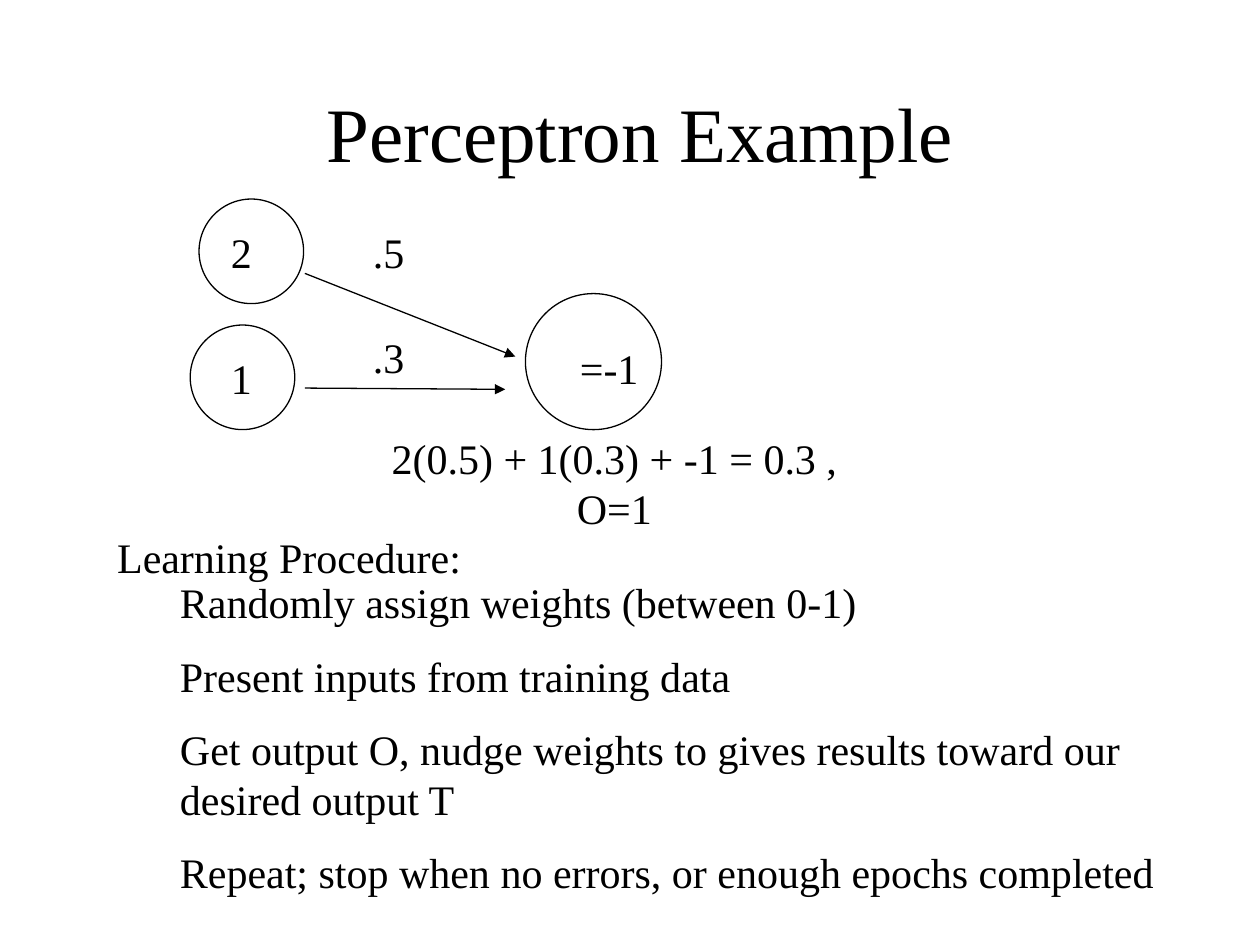
from dataclasses import dataclass

from lxml import etree
from pptx import Presentation
from pptx.dml.color import RGBColor
from pptx.enum.shapes import MSO_CONNECTOR, MSO_SHAPE
from pptx.enum.text import MSO_ANCHOR, PP_ALIGN
from pptx.oxml.ns import qn
from pptx.util import Inches, Pt

LEFT, CENTER = PP_ALIGN.LEFT, PP_ALIGN.CENTER
MIDDLE = MSO_ANCHOR.MIDDLE
OVAL = MSO_SHAPE.OVAL
STRAIGHT = MSO_CONNECTOR.STRAIGHT


@dataclass(frozen=True)
class Theme:
    font: str = "Times New Roman"
    ink: RGBColor = RGBColor(0, 0, 0)
    paper: RGBColor = RGBColor(255, 255, 255)
    head: int = 44
    body: int = 24
    gap: int = 13
    line: float = 0.75


THEME = Theme()


def place(shape, box):
    shape.left, shape.top, shape.width, shape.height = map(Inches, box)


def write(frame, *lines, size=THEME.body, align=CENTER, wrap=False):
    frame.word_wrap = wrap
    frame.vertical_anchor = MIDDLE
    for i, line in enumerate(lines):
        para = frame.paragraphs[0] if i == 0 else frame.add_paragraph()
        para.alignment = align
        para.space_before = Pt(THEME.gap if i else 0)
        run = para.add_run()
        run.text = line
        run.font.name = THEME.font
        run.font.size = Pt(size)
        run.font.color.rgb = THEME.ink


def label(slide, box, *lines, **style):
    text = slide.shapes.add_textbox(*map(Inches, box))
    write(text.text_frame, *lines, **style)


def node(slide, x, y, size):
    shape = slide.shapes.add_shape(OVAL, *map(Inches, (x, y, size, size)))
    shape.shadow.inherit = False
    shape.fill.solid()
    shape.fill.fore_color.rgb = THEME.paper
    shape.line.color.rgb = THEME.ink
    shape.line.width = Pt(THEME.line)


def arrow(slide, *ends):
    link = slide.shapes.add_connector(STRAIGHT, *map(Inches, ends))
    link.line.color.rgb = THEME.ink
    link.line.width = Pt(THEME.line)
    tail = etree.SubElement(link.line._get_or_add_ln(), qn("a:tailEnd"))
    tail.set("type", "triangle")
    etree.SubElement(link._element.spPr, qn("a:effectLst"))


def title(slide, box):
    shape = slide.shapes.title
    place(shape, box)
    write(shape.text_frame, "Perceptron Example", size=THEME.head, wrap=True)


def network(slide, box):
    x, y = box[:2]
    for dx, dy, value in ((0.07, 0, "2"), (0, 1, "1")):
        node(slide, x + dx, y + dy, 0.83)
        label(slide, (x + 0.22, y + dy + 0.17, 0.37, 0.5), value)
    node(slide, x + 2.66, y + 0.75, 1.08)
    label(slide, (x + 2.99, y + 1.09, 0.67, 0.5), "=-1")
    arrow(slide, x + 0.91, y + 0.59, x + 2.58, y + 1.25)
    arrow(slide, x + 0.91, y + 1.5, x + 2.5, y + 1.51)
    for dy, weight in ((0.17, ".5"), (1, ".3")):
        label(slide, (x + 1.35, y + dy, 0.45, 0.5), weight)


def steps(slide, box):
    x, y, width, height = box
    label(slide, (x, y, 2.93, 0.5), "Learning Procedure:")
    label(
        slide,
        (x + 0.5, y + 0.33, width - 0.5, height - 0.33),
        "Randomly assign weights (between 0-1)",
        "Present inputs from training data",
        "Get output O, nudge weights to gives results toward our desired output T",
        "Repeat; stop when no errors, or enough epochs completed",
        align=LEFT,
        wrap=True,
    )


def main():
    deck = Presentation()
    deck.slide_width, deck.slide_height = Inches(10), Inches(7.5)
    slide = deck.slides.add_slide(deck.slide_layouts[5])
    title(slide, (0.83, 0.42, 8.5, 1.25))
    network(slide, (1.51, 1.58, 3.74, 1.83))
    label(slide, (2.67, 3.58, 4.41, 0.5), "2(0.5) + 1(0.3) + -1 = 0.3 , O=1")
    steps(slide, (0.83, 4.17, 8.67, 3.03))
    deck.save("out.pptx")


if __name__ == "__main__":
    main()
